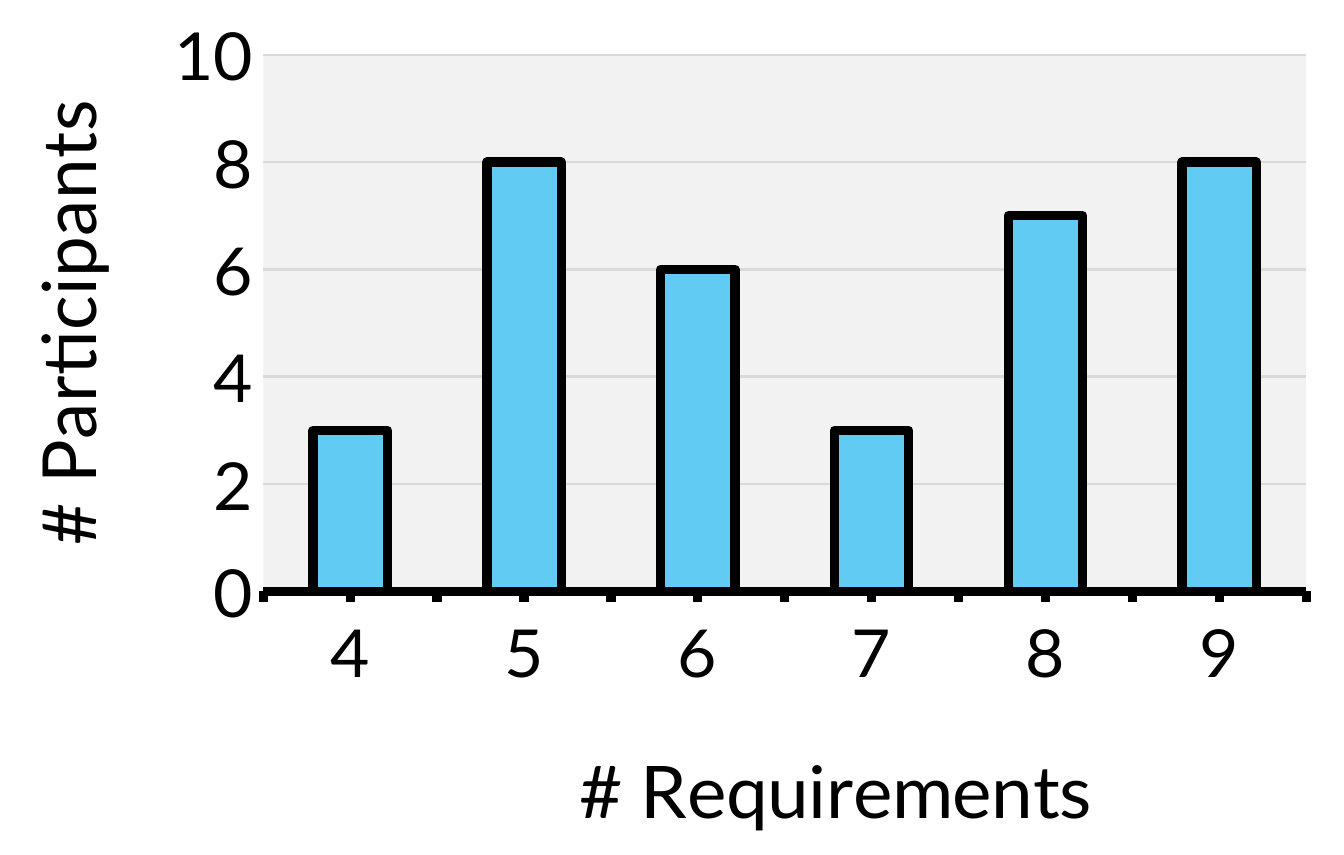
from lxml import etree
from pptx import Presentation
from pptx.chart.data import CategoryChartData
from pptx.dml.color import RGBColor
from pptx.enum.chart import XL_CHART_TYPE as ChartType, XL_TICK_MARK as TickMark
from pptx.oxml.ns import qn
from pptx.util import Inches, Pt

COLORS = {"ink": "000000", "bar": "61CBF4", "plot": "F2F2F2", "grid": "D9D9D9"}
FONT = "Lato"
PARTICIPANTS = {"4": 3, "5": 8, "6": 6, "7": 3, "8": 7, "9": 8}


def color(name):
    return RGBColor.from_string(COLORS[name])


def style_font(font, size):
    font.name, font.size, font.bold = FONT, Pt(size), False
    font.color.rgb = color("ink")


def style_line(line, name, width):
    line.color.rgb = color(name)
    line.width = Pt(width)


def place(element, before, **percents):
    """Give a chart part a manual layout in percent of the chart's size."""
    for old in element.findall(qn("c:layout")):
        element.remove(old)
    layout = etree.Element(qn("c:layout"))
    manual = etree.SubElement(layout, qn("c:manualLayout"))
    if "w" in percents:
        etree.SubElement(manual, qn("c:layoutTarget"), val="inner")
    for key in ("x", "y"):
        etree.SubElement(manual, qn(f"c:{key}Mode"), val="edge")
    for key, percent in percents.items():
        etree.SubElement(manual, qn(f"c:{key}"), val=f"{percent / 100:.4f}")
    element.find(qn(before)).addprevious(layout)


def add_axis_title(axis, text, x, y):
    title = axis.axis_title
    title.text_frame.text = text
    style_font(title.text_frame.paragraphs[0].font, 22)
    place(title._element, "c:overlay", x=x, y=y)
    style_font(axis.tick_labels.font, 20)


def style_requirements_axis(axis):
    add_axis_title(axis, "# Requirements", 42.1, 87)
    axis.major_tick_mark, axis.minor_tick_mark = TickMark.NONE, TickMark.OUTSIDE
    style_line(axis.format.line, "ink", 2.75)


def style_participants_axis(axis):
    add_axis_title(axis, "# Participants", 0, 11.8)
    axis.minimum_scale, axis.maximum_scale, axis.major_unit = 0, 10, 2
    axis.major_tick_mark = axis.minor_tick_mark = TickMark.NONE
    axis.format.line.fill.background()
    style_line(axis.major_gridlines.format.line, "grid", 0.75)


def style_plot(chart):
    plot = chart.plots[0]
    plot.gap_width, plot.overlap, plot.vary_by_categories = 134, -26, False
    bars = plot.series[0].format
    bars.fill.solid()
    bars.fill.fore_color.rgb = color("bar")
    style_line(bars.line, "ink", 2.75)

    area = chart._chartSpace.chart.plotArea
    place(area, "c:barChart", x=19.6, y=6.6, w=77.6, h=64.4)
    background = etree.SubElement(area, qn("c:spPr"))
    fill = etree.SubElement(background, qn("a:solidFill"))
    etree.SubElement(fill, qn("a:srgbClr"), val=COLORS["plot"])


def add_participants_chart(slide, left, top, width, height):
    data = CategoryChartData()
    data.categories = PARTICIPANTS.keys()
    data.add_series("Series 1", PARTICIPANTS.values())
    chart = slide.shapes.add_chart(
        ChartType.COLUMN_CLUSTERED, left, top, width, height, data).chart
    chart.has_title = chart.has_legend = False
    style_font(chart.font, 10)
    style_requirements_axis(chart.category_axis)
    style_participants_axis(chart.value_axis)
    style_plot(chart)


def main():
    deck = Presentation()
    deck.slide_width, deck.slide_height = Inches(5.5), Inches(3.5)
    slide = deck.slides.add_slide(deck.slide_layouts[6])
    add_participants_chart(slide, 0, 0, deck.slide_width, deck.slide_height)
    deck.save("out.pptx")


if __name__ == "__main__":
    main()
